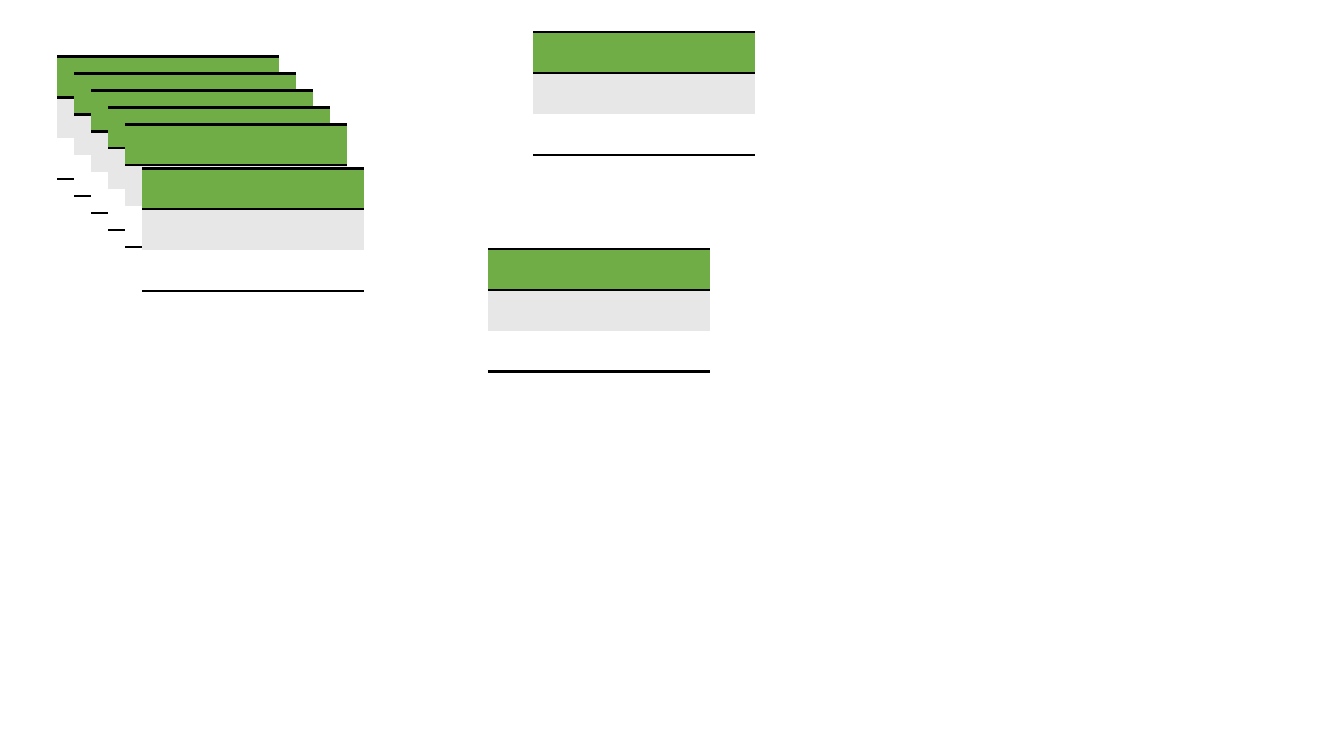
from lxml.etree import SubElement
from pptx import Presentation
from pptx.dml.color import RGBColor
from pptx.oxml.ns import qn
from pptx.util import Inches, Pt

GREEN = RGBColor(0x70, 0xAD, 0x47)
GREY = RGBColor(0xE7, 0xE7, 0xE7)
WHITE = RGBColor(0xFF, 0xFF, 0xFF)
BLACK = RGBColor(0x00, 0x00, 0x00)

ROW_FILLS = (GREEN, GREY, WHITE)
RULED_EDGES = ({"lnT", "lnB"}, {"lnT"}, {"lnB"})
GRID_COLUMNS = 80
GRID_ROWS = 45
CARD_WIDTH = 13.2
CARD_HEIGHT = 7.29
STACK_SIZE = 5
STACK_STEP = 1.01


def set_borders(cell, ruled_edges):
    """Rule the named edges of a cell in black and clear the others."""
    properties = cell._tc.get_or_add_tcPr()
    for position, edge in enumerate(("lnL", "lnR", "lnT", "lnB")):
        line = SubElement(properties, qn(f"a:{edge}"), w=str(Pt(2)))
        if edge in ruled_edges:
            fill = SubElement(line, qn("a:solidFill"))
            SubElement(fill, qn("a:srgbClr"), val=str(BLACK))
        else:
            SubElement(line, qn("a:noFill"))
        properties.insert(position, line)


def add_card(slide, column, row, cell_width, cell_height):
    """Place a three-row table with its corner at a grid position."""
    frame = slide.shapes.add_table(
        len(ROW_FILLS), 1,
        round(column * cell_width), round(row * cell_height),
        round(CARD_WIDTH * cell_width), round(CARD_HEIGHT * cell_height),
    )
    for index, (color, edges) in enumerate(zip(ROW_FILLS, RULED_EDGES)):
        cell = frame.table.cell(index, 0)
        cell.fill.solid()
        cell.fill.fore_color.rgb = color
        set_borders(cell, edges)


def add_stack(slide, column, row, cell_width, cell_height):
    """Place a diagonal cascade of cards from a grid position."""
    for index in range(STACK_SIZE):
        shift = index * STACK_STEP
        add_card(slide, column + shift, row + shift, cell_width, cell_height)


def build_slide(presentation):
    """Add the slide with the card stack and the separate cards."""
    slide = presentation.slides.add_slide(presentation.slide_layouts[6])
    grid = (presentation.slide_width / GRID_COLUMNS,
            presentation.slide_height / GRID_ROWS)
    add_stack(slide, 3.42, 3.36, *grid)
    for column, row in ((8.46, 10.02), (29.04, 14.82), (31.74, 1.92)):
        add_card(slide, column, row, *grid)


def main():
    """Create and save the presentation."""
    presentation = Presentation()
    presentation.slide_width = Inches(13.33)
    presentation.slide_height = Inches(7.5)
    build_slide(presentation)
    presentation.save("out.pptx")


main()
